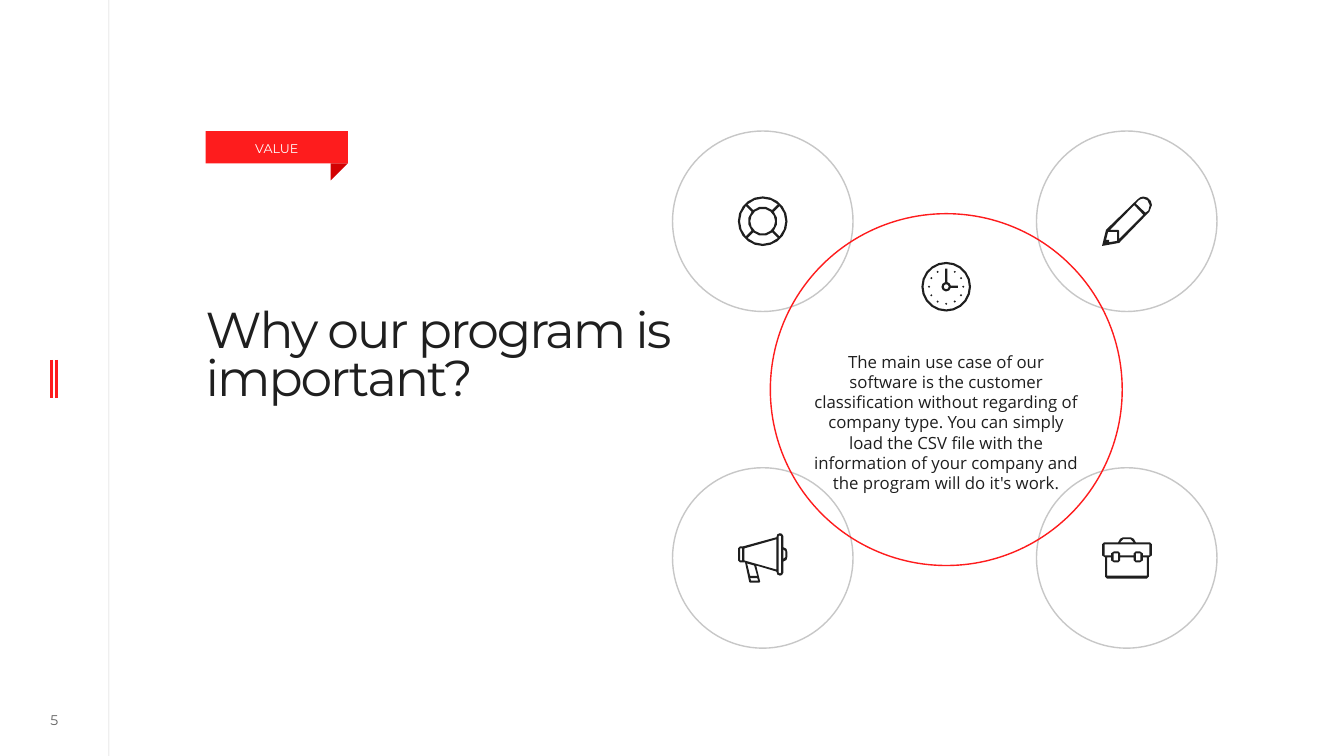
from dataclasses import dataclass
from math import cos, radians, sin
from typing import Optional

from lxml import etree
from pptx import Presentation
from pptx.dml.color import RGBColor
from pptx.enum.shapes import MSO_CONNECTOR, MSO_SHAPE
from pptx.enum.text import MSO_ANCHOR, MSO_AUTO_SIZE, PP_ALIGN
from pptx.oxml.ns import qn
from pptx.util import Inches, Pt

INK = RGBColor(0x1F, 0x1F, 0x1F)
RED = RGBColor(0xFE, 0x1C, 0x1D)
DARK_RED = RGBColor(0xD3, 0x01, 0x02)
GREY = RGBColor(0xC7, 0xC7, 0xC7)
WHITE = RGBColor(0xFF, 0xFF, 0xFF)
HEADING_FONT, BODY_FONT = "Montserrat", "Open Sans"
STRAIGHT = MSO_CONNECTOR.STRAIGHT
RECTANGLE, ELLIPSE = MSO_SHAPE.RECTANGLE, MSO_SHAPE.OVAL
TRIANGLE = MSO_SHAPE.RIGHT_TRIANGLE
LEFT, CENTER = PP_ALIGN.LEFT, PP_ALIGN.CENTER
TOP, MIDDLE = MSO_ANCHOR.TOP, MSO_ANCHOR.MIDDLE

Points = list[tuple[float, float]]


@dataclass
class Rule:
    x: float
    top: float
    bottom: float
    color: RGBColor
    width: float
    opacity: Optional[int] = None


@dataclass
class Icon:
    """Contours in hundredths of an inch; inner ones cut holes."""
    left: float
    top: float
    contours: list[Points]


@dataclass
class Circle:
    left: float
    top: float
    size: float
    color: RGBColor


def arc(radius: float, start: float, end: float, steps: int) -> Points:
    angles = [radians(start + (end - start) * step / steps) for step in range(steps + 1)]
    return [(24.5 + radius * cos(angle), 24.5 + radius * sin(angle)) for angle in angles]


def ring(radius: float, steps: int) -> Points:
    return arc(radius, 0, 360, steps)[:-1]


def mirror(points: Points) -> Points:
    return [(49.5 - x, y) for x, y in reversed(points)]


def symmetric(half: Points) -> Points:
    return half + mirror(half)


def life_ring() -> list[Points]:
    gaps = [arc(22.5, turn - 42, turn + 42, 4) + arc(14.5, turn + 40.4, turn - 40.4, 3)
            for turn in range(0, 360, 90)]
    return [ring(24.6, 20), *gaps, ring(12.3, 14)]


def clock() -> list[Points]:
    hands = [(25.6, 20), (25.6, 6.5), (23.4, 6.5), (23.4, 20),
             *arc(4.7, -103, -347, 6), (36, 25.6), (36, 23.4), *arc(4.7, -13, -77, 2)]
    dots = []
    for turn in range(-60, 270, 30):
        x, y = arc(17, turn, turn, 1)[0]
        dots.append([(x - 1.1, y), (x, y - 1.1), (x + 1.1, y), (x, y + 1.1)])
    return [ring(24.6, 20), ring(22.5, 20), hands, ring(2.5, 8), *dots]


def briefcase() -> list[Points]:
    body = [(21, 0), (18, 1.5), (16, 5), (2, 5), (0, 7), (0, 18), (3, 20), (3, 39), (5, 41)]
    lid = [(18, 18), (18, 16), (16, 14), (12, 14), (9, 16), (9, 18), (2.5, 18), (2.5, 7)]
    base = [(18, 20), (18, 23), (16, 25), (12, 25), (9, 23), (9, 20), (5, 20), (5, 38)]
    latch = [(11.5, 16), (16, 16), (16, 23), (11.5, 23)]
    handle = [(18, 5), (21, 2)]
    return [*map(symmetric, (body, lid, base, handle)), latch, mirror(latch)]


MEGAPHONE: list[Points] = [
    [(45, 14), (45, 3), (43.5, 0.5), (41.5, 0), (39, 1), (38, 4), (5, 13), (2, 13),
     (0, 15), (0, 27), (2, 29), (7, 29), (11, 48), (12, 49), (21, 49), (22, 48),
     (18, 32), (38, 38), (39, 41), (41.5, 42), (43.5, 41.5), (45, 39), (45, 28),
     (48, 26.5), (49, 23), (49, 19), (48, 15.5)],
    [(45, 16), (47, 18), (47, 23.5), (45, 25.5)],
    [(42.7, 39), (41.5, 40), (40.3, 39), (40.3, 3), (41.5, 2), (42.7, 3)],
    [(38, 36), (6.3, 27), (6.3, 15), (38, 6)],
    [(19, 42.3), (12, 42.3), (9, 30), (16, 32)],
    [(20, 47), (13, 47), (12, 44.5), (19, 44.5)],
    [(4, 27), (2, 27), (2, 15), (4, 15)],
]
PENCIL: list[Points] = [
    [(35, 3), (4, 33), (0, 49), (17, 46), (47, 15), (49.5, 8.5), (48.5, 4.5),
     (45, 1), (41, 0), (38, 0.7)],
    [(46, 14), (43, 16), (33.5, 7), (36, 4), (38.5, 2.5), (41, 2), (45, 3.6), (47.4, 8.5)],
    [(17, 42), (17, 34), (16, 33), (8, 33), (32, 8.5), (41, 18)],
    [(15, 44), (7, 45.3), (7, 43), (4, 43), (6, 35), (15, 35)],
]

RULES = [
    Rule(1.08, 0, 7.5, INK, 0.5, opacity=20),
    Rule(0.51, 3.57, 3.95, RED, 2),
    Rule(0.56, 3.57, 3.95, RED, 2),
]
CIRCLES = [Circle(left, top, 1.79, GREY) for left in (6.67, 10.28) for top in (1.3, 4.64)]
CIRCLES.append(Circle(7.64, 2.12, 3.49, RED))
ICONS = [
    Icon(7.32, 1.95, life_ring()),
    Icon(10.93, 5.33, briefcase()),
    Icon(7.32, 5.29, MEGAPHONE),
    Icon(10.93, 1.95, PENCIL),
    Icon(9.14, 2.6, clock()),
]


def set_opacity(element, percent: int) -> None:
    for color in element.iter(qn("a:srgbClr")):
        etree.SubElement(color, qn("a:alpha")).set("val", str(percent * 1000))


def write(box, text: str, *, size: float, color: RGBColor, font: str = HEADING_FONT,
          align=CENTER, anchor=TOP, top_inset: float = 0, bottom_inset: float = 0,
          line_spacing: Optional[float] = None, tracking: Optional[int] = None,
          opacity: Optional[int] = None) -> None:
    frame = box.text_frame
    frame.word_wrap, frame.auto_size = True, MSO_AUTO_SIZE.NONE
    frame.vertical_anchor = anchor
    frame.margin_left = frame.margin_right = 0
    frame.margin_top, frame.margin_bottom = Inches(top_inset), Inches(bottom_inset)
    para = frame.paragraphs[0]
    para.alignment, para.line_spacing = align, line_spacing
    span = para.add_run()
    span.text = text
    span.font.name, span.font.size = font, Pt(size)
    span.font.color.rgb = color
    if tracking is not None:
        span.font._element.set("spc", str(tracking))
    if opacity is not None:
        set_opacity(span.font._element, opacity)


def add_text_box(page, left: float, top: float, width: float, height: float):
    return page.shapes.add_textbox(Inches(left), Inches(top), Inches(width), Inches(height))


def fill_plain(shape, color: RGBColor) -> None:
    shape.shadow.inherit = False
    shape.fill.solid()
    shape.fill.fore_color.rgb = color
    shape.line.fill.background()


def add_filled(page, kind, left: float, top: float, width: float, height: float, color: RGBColor):
    shape = page.shapes.add_shape(kind, Inches(left), Inches(top), Inches(width), Inches(height))
    fill_plain(shape, color)
    return shape


def add_rule(page, rule: Rule) -> None:
    line = page.shapes.add_connector(STRAIGHT, Inches(rule.x), Inches(rule.top),
                                     Inches(rule.x), Inches(rule.bottom))
    line.line.color.rgb, line.line.width = rule.color, Pt(rule.width)
    properties = line._element.spPr
    etree.SubElement(properties, qn("a:effectLst"))
    if rule.opacity is not None:
        set_opacity(properties, rule.opacity)


def add_circle(page, circle: Circle) -> None:
    shape = page.shapes.add_shape(ELLIPSE, Inches(circle.left), Inches(circle.top),
                                  Inches(circle.size), Inches(circle.size))
    shape.shadow.inherit = False
    shape.fill.background()
    shape.line.color.rgb, shape.line.width = circle.color, Pt(1)


def add_icon(page, icon: Icon) -> None:
    first, *holes = [[(Inches(x / 100), Inches(y / 100)) for x, y in contour]
                     for contour in icon.contours]
    builder = page.shapes.build_freeform(*first[0])
    builder.add_line_segments(first[1:])
    for hole in holes:
        builder.move_to(*hole[0])
        builder.add_line_segments(hole[1:])
    fill_plain(builder.convert_to_shape(Inches(icon.left), Inches(icon.top)), INK)


def main() -> None:
    deck = Presentation()
    deck.slide_width, deck.slide_height = Inches(13.33), Inches(7.5)
    page = deck.slides.add_slide(deck.slide_layouts[5])
    for rule in RULES:
        add_rule(page, rule)
    write(add_text_box(page, 0.26, 7.02, 0.56, 0.25), "5", size=10, color=INK,
          anchor=MIDDLE, opacity=70)

    title = page.shapes.title
    title.left, title.top = Inches(2.04), Inches(2.86)
    title.width, title.height = Inches(4.62), Inches(1.77)
    write(title, "Why our program is important?", size=36, color=INK, align=LEFT,
          top_inset=0.21, line_spacing=0.8, tracking=-150)

    label = add_filled(page, RECTANGLE, 2.04, 1.3, 1.41, 0.32, RED)
    write(label, "VALUE", size=9, color=WHITE, anchor=MIDDLE, top_inset=0.07, bottom_inset=0.05)
    add_filled(page, TRIANGLE, 3.28, 1.62, 0.17, 0.17, DARK_RED).rotation = 90

    for circle in CIRCLES:
        add_circle(page, circle)
    for icon in ICONS:
        add_icon(page, icon)
    write(add_text_box(page, 8.07, 3.44, 2.63, 1.51),
          "The main use case of our software is the customer classification without "
          "regarding of company type. You can simply load the CSV file with the "
          "information of your company and the program will do it's work.",
          size=12, color=INK, font=BODY_FONT, top_inset=0.05, bottom_inset=0.05)
    deck.save("out.pptx")


if __name__ == "__main__":
    main()
